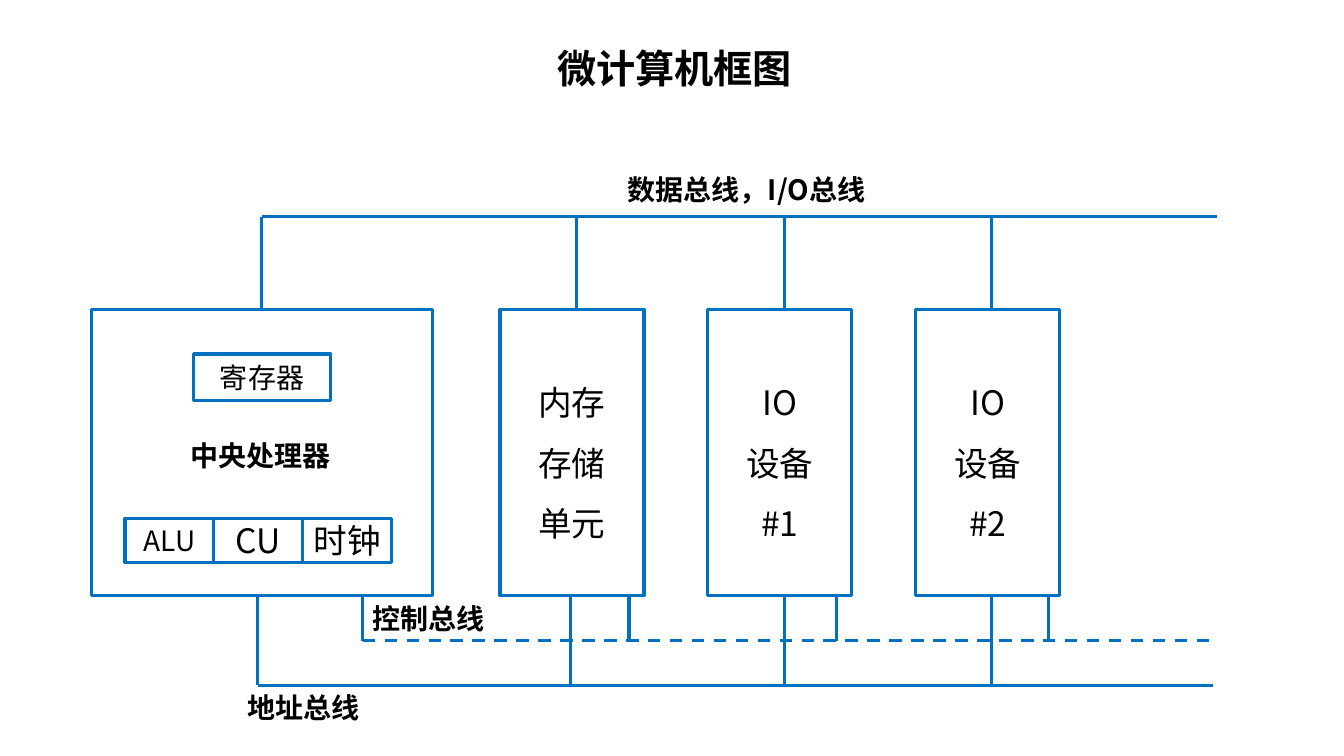
import pptx
import pptx.dml.color
import pptx.enum.dml
import pptx.enum.shapes
import pptx.enum.text
import pptx.oxml.ns
import pptx.util
from lxml import etree

Cm = pptx.util.Cm
BLUE = pptx.dml.color.RGBColor(0x00, 0x70, 0xC0)
BLACK = pptx.dml.color.RGBColor(0x00, 0x00, 0x00)
FONT = "Noto Sans CJK SC"
LEFT = pptx.enum.text.PP_ALIGN.LEFT
CENTER = pptx.enum.text.PP_ALIGN.CENTER
TOP = pptx.enum.text.MSO_ANCHOR.TOP
MIDDLE = pptx.enum.text.MSO_ANCHOR.MIDDLE

# Shared levels and the device grid, in centimetres
BOX_TOP, BOX_HEIGHT = 7.8, 7.21
BOX_BOTTOM = BOX_TOP + BOX_HEIGHT
DEVICE_LEFT, DEVICE_PITCH, DEVICE_WIDTH = 12.6, 5.24, 3.63
UNIT_LEFT, UNIT_WIDTH = 3.15, 2.24


def set_values(target, values):
    for name, value in values.items():
        setattr(target, name, value)


class Diagram:
    line_style = {"width": pptx.util.Pt(2.25)}

    def __init__(self, slide):
        self.slide = slide

    def set_text(self, shape, lines, size, bold=False, align=LEFT, anchor=TOP, spacing=1.0):
        frame = shape.text_frame
        set_values(frame, {"word_wrap": True, "vertical_anchor": anchor})
        frame.text = "\n".join(lines)
        for paragraph in frame.paragraphs:
            set_values(paragraph, {"alignment": align, "line_spacing": spacing})
            for run in paragraph.runs:
                set_values(run.font, {"name": FONT, "size": pptx.util.Pt(size), "bold": bold})
                run.font.color.rgb = BLACK
                east_asian = etree.SubElement(run.font._element, pptx.oxml.ns.qn("a:ea"))
                east_asian.set("typeface", FONT)

    def title(self, text, left, top, width, height):
        shape = self.slide.shapes.title
        set_values(shape, {"left": Cm(left), "top": Cm(top),
                           "width": Cm(width), "height": Cm(height)})
        self.set_text(shape, [text], 28, bold=True)

    def label(self, text, left, top, width):
        shape = self.slide.shapes.add_textbox(Cm(left), Cm(top), Cm(width), Cm(1.12))
        self.set_text(shape, [text], 20, bold=True)

    def box(self, left, top, width, height, lines=(), size=24, spacing=1.0):
        shape = self.slide.shapes.add_shape(
            pptx.enum.shapes.MSO_SHAPE.RECTANGLE, Cm(left), Cm(top), Cm(width), Cm(height))
        shape.shadow.inherit = False
        shape.fill.background()
        shape.line.color.rgb = BLUE
        set_values(shape.line, self.line_style)
        set_values(shape.text_frame, {"margin_left": 0, "margin_right": 0})
        if lines:
            self.set_text(shape, lines, size, align=CENTER, anchor=MIDDLE, spacing=spacing)

    def line(self, x1, y1, x2, y2, dashed=False):
        connector = self.slide.shapes.add_connector(
            pptx.enum.shapes.MSO_CONNECTOR.STRAIGHT, Cm(x1), Cm(y1), Cm(x2), Cm(y2))
        connector.line.color.rgb = BLUE
        set_values(connector.line, self.line_style)
        if dashed:
            connector.line.dash_style = pptx.enum.dml.MSO_LINE.DASH
        etree.SubElement(connector._element.spPr, pptx.oxml.ns.qn("a:effectLst"))

    def bus(self, level, right, box_edge, drops, dashed=False):
        """Draw a horizontal bus and its vertical links to the boxes."""
        self.line(drops[0], level, right, level, dashed)
        for x in drops:
            self.line(x, box_edge, x, level)


def main():
    presentation = pptx.Presentation()
    set_values(presentation, {"slide_width": Cm(33.87), "slide_height": Cm(19.05)})
    diagram = Diagram(presentation.slides.add_slide(presentation.slide_layouts[5]))

    diagram.title("微计算机框图", 13.79, 0.99, 7.54, 1.45)

    diagram.box(2.31, BOX_TOP, 8.59, BOX_HEIGHT)
    diagram.box(4.88, 8.92, 3.45, 1.17, ["寄存器"], 20)
    diagram.label("中央处理器", 4.55, 10.92, 4.11)
    for index, (unit, size) in enumerate([("ALU", 20), ("CU", 24), ("时钟", 24)]):
        diagram.box(UNIT_LEFT + index * UNIT_WIDTH, 13.06, UNIT_WIDTH, 1.12, [unit], size)

    devices = [["内存", "存储", "单元"], ["IO", "设备", "#1"], ["IO", "设备", "#2"]]
    for index, lines in enumerate(devices):
        diagram.box(DEVICE_LEFT + index * DEVICE_PITCH, BOX_TOP, DEVICE_WIDTH, BOX_HEIGHT,
                    lines, spacing=1.5)

    diagram.bus(5.46, 30.66, BOX_TOP, [6.6, 14.53, 19.76, 24.99])
    diagram.bus(17.27, 30.58, BOX_BOTTOM, [6.5, 14.38, 19.76, 24.99])
    diagram.bus(16.15, 30.66, BOX_BOTTOM, [9.14, 15.85, 21.08, 26.42], dashed=True)

    diagram.label("数据总线，I/O总线", 15.57, 4.22, 7.54)
    diagram.label("地址总线", 5.99, 17.27, 3.51)
    diagram.label("控制总线", 9.14, 15.04, 3.51)

    presentation.save("out.pptx")


if __name__ == "__main__":
    main()
